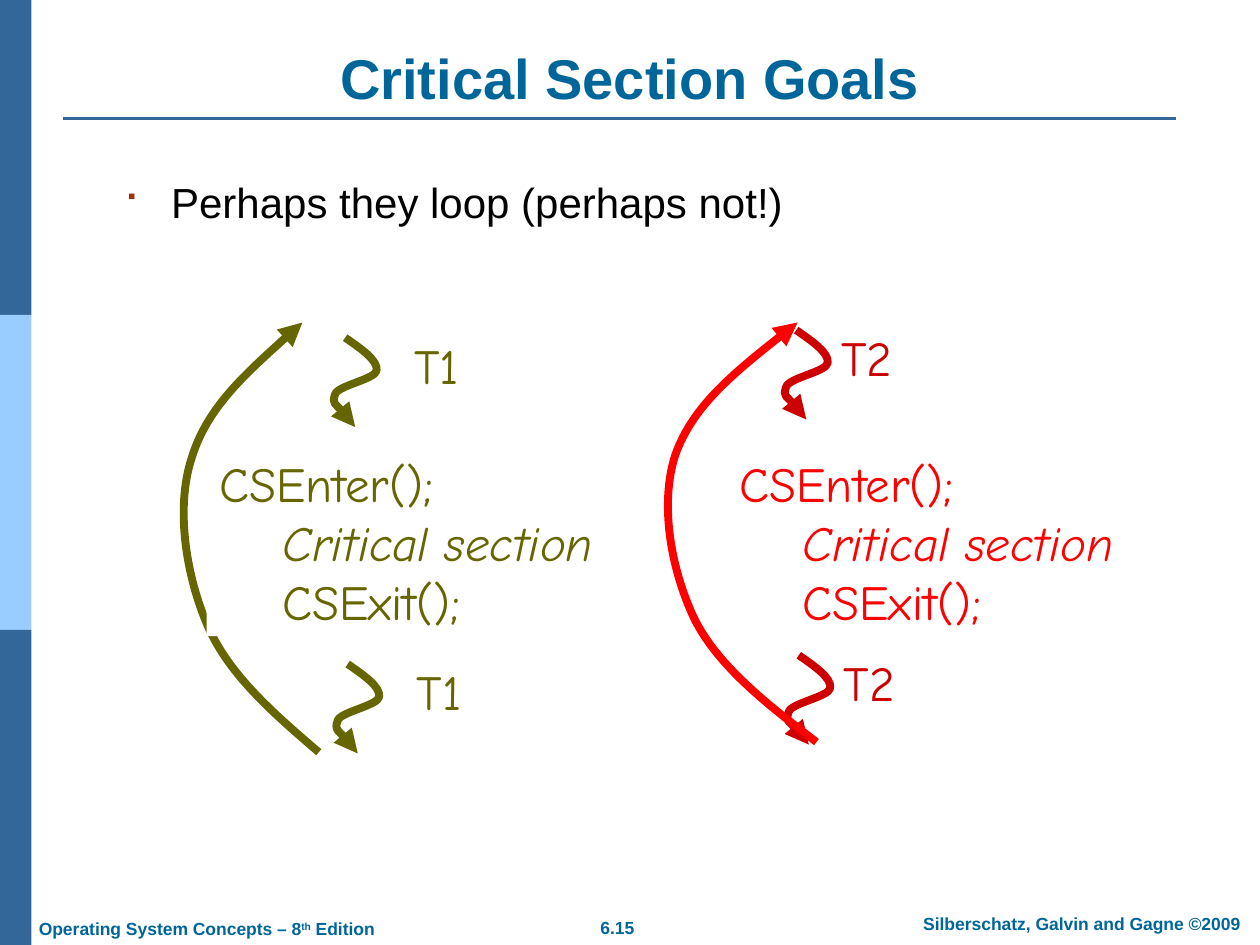
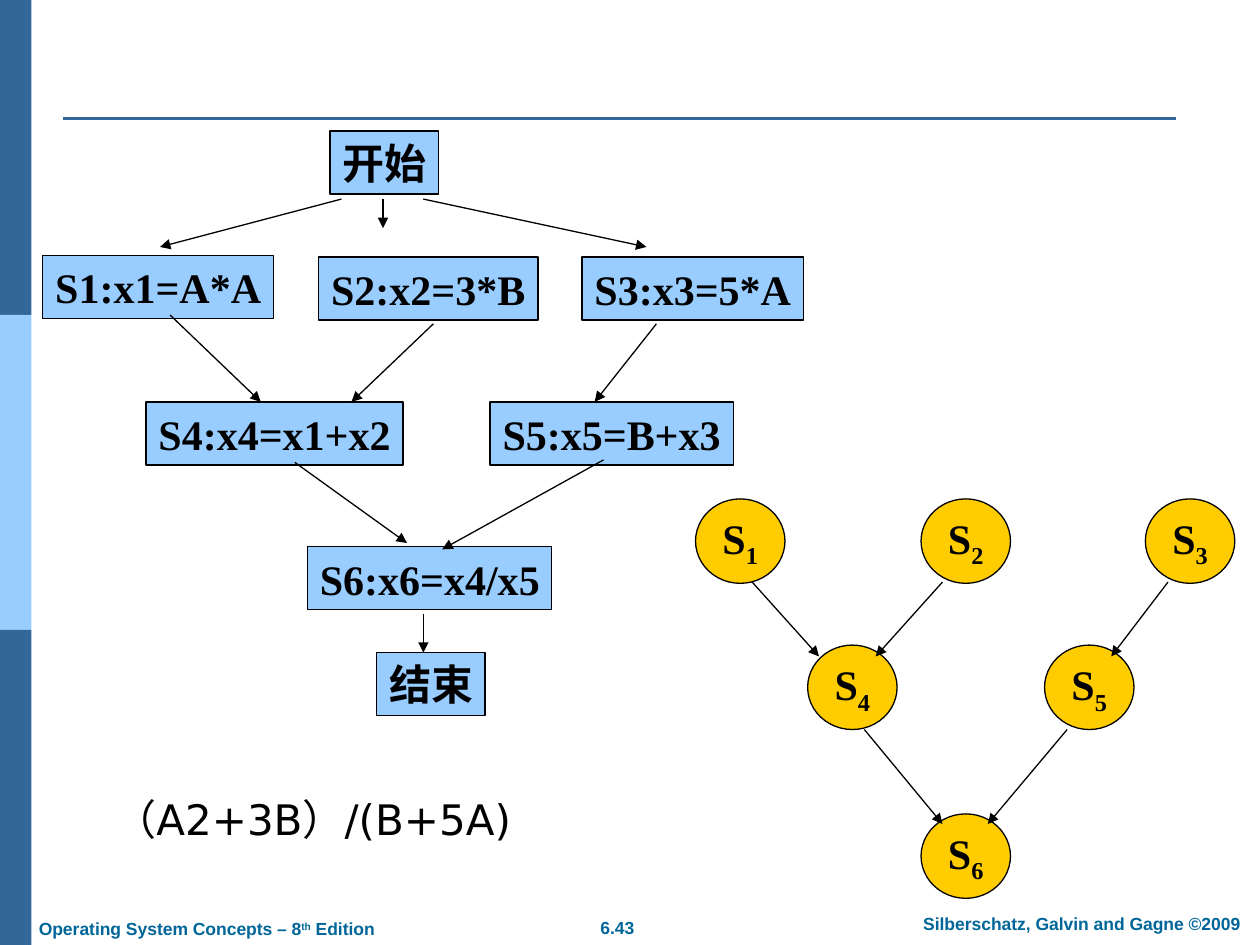
"""Build two operating-system slides: critical section goals and a precedence graph."""
from dataclasses import dataclass
from typing import NamedTuple

from lxml import etree
from pptx import Presentation
from pptx.dml.color import RGBColor
from pptx.enum.shapes import MSO_CONNECTOR, MSO_SHAPE
from pptx.enum.text import MSO_ANCHOR, MSO_AUTO_SIZE, PP_ALIGN
from pptx.oxml.ns import qn
from pptx.util import Inches, Pt

RECTANGLE, OVAL = MSO_SHAPE.RECTANGLE, MSO_SHAPE.OVAL
STRAIGHT = MSO_CONNECTOR.STRAIGHT
LEFT, CENTER = PP_ALIGN.LEFT, PP_ALIGN.CENTER
TOP, MIDDLE, BOTTOM = MSO_ANCHOR.TOP, MSO_ANCHOR.MIDDLE, MSO_ANCHOR.BOTTOM
NO_AUTOFIT = MSO_AUTO_SIZE.NONE

NAVY, SKY, TEAL = "336699", "99CCFF", "006699"
BLACK, WHITE, RUST, GOLD = "000000", "FFFFFF", "993300", "FFCC00"
OLIVE, CRIMSON, RED = "666600", "CC0000", "FF0000"

Point = tuple[float, float]


class Area(NamedTuple):
    """Place and size in inches."""
    left: float
    top: float
    width: float
    height: float


class Arrow(NamedTuple):
    """A straight arrow between two points."""
    start: Point
    end: Point


class Style(NamedTuple):
    """Character format."""
    font: str
    size: float
    color: str
    bold: bool = False


@dataclass
class Span:
    """A run of text with its own slant and baseline shift in percent."""
    text: str
    italic: bool = False
    baseline: int = 0


@dataclass
class Line:
    """A paragraph."""
    spans: list[Span]
    align: PP_ALIGN = LEFT
    before: float = 0
    indent: float = 0
    bullet: bool = False


@dataclass
class Thread:
    """One thread: label, colours, squiggle starts, loop and code block."""
    name: str
    color: str
    squiggle_color: str
    starts: list[Point]
    label_shift: float
    label_width: float
    loop: list[Point]
    code_left: float
    code_fill: str | None


TITLE = Style("Arial", 32, TEAL, True)
BODY = Style("Arial", 24, BLACK)
FOOTER = Style("Arial", 10, TEAL, True)
CODE = "Comic Neue"
NODE = Style("Times New Roman", 24, BLACK, True)
FORMULA = Style("DejaVu Sans", 24, BLACK)

SQUIGGLE = [(0, 0), (0.13, 0.09), (0.26, 0.18), (0.25, 0.26), (0.24, 0.33),
            (-0.06, 0.38), (-0.08, 0.45), (-0.11, 0.53), (0.06, 0.66), (0.08, 0.71)]

THREADS = [
    Thread("T1", OLIVE, OLIVE, [(2.74, 2.68), (2.76, 5.27)], 0.45, 0.55,
           [(2.53, 5.97), (2.18, 5.67), (1.82, 5.36), (1.65, 4.97), (1.48, 4.58),
            (1.39, 4.04), (1.52, 3.64), (1.64, 3.24), (2.02, 2.9), (2.4, 2.56)],
           1.64, WHITE),
    Thread("T2", RED, CRIMSON, [(6.32, 2.62), (6.34, 5.2)], 0.26, 0.6,
           [(6.48, 5.89), (6.09, 5.59), (5.7, 5.29), (5.51, 4.91), (5.33, 4.53),
            (5.23, 4.01), (5.36, 3.61), (5.5, 3.22), (5.91, 2.89), (6.33, 2.56)],
           5.77, None),
]

STATEMENTS = {
    "S1:x1=A*A": (0.34, 2.03, 1.83), "S2:x2=3*B": (2.53, 2.04, 1.74),
    "S3:x3=5*A": (4.62, 2.04, 1.76), "S4:x4=x1+x2": (1.16, 3.19, 2.04),
    "S5:x5=B+x3": (3.89, 3.19, 1.93), "S6:x6=x4/x5": (2.44, 4.34, 1.94),
    "开始": (2.62, 1.04, 0.86), "结束": (2.99, 5.18, 0.86),
}
NODES = {"1": (5.52, 3.96), "2": (7.31, 3.96), "3": (9.09, 3.96),
         "4": (6.41, 5.12), "5": (8.29, 5.12), "6": (7.31, 6.46)}
GRAPH_ARROWS = [
    Arrow((5.97, 4.62), (6.5, 5.21)), Arrow((7.48, 4.62), (6.95, 5.21)),
    Arrow((9.27, 4.62), (8.82, 5.21)), Arrow((6.86, 5.79), (7.48, 6.54)),
    Arrow((8.47, 5.79), (7.84, 6.54)),
]
FLOW_ARROWS = [
    Arrow((2.71, 1.58), (1.27, 1.96)), Arrow((3.04, 1.58), (3.04, 1.81)),
    Arrow((3.36, 1.58), (5.13, 1.96)), Arrow((1.35, 2.5), (2.07, 3.19)),
    Arrow((3.44, 2.57), (2.79, 3.19)), Arrow((5.21, 2.57), (4.72, 3.19)),
    Arrow((2.34, 3.67), (3.23, 4.31)), Arrow((4.79, 3.65), (3.51, 4.36)),
    Arrow((3.36, 4.87), (3.36, 5.18)),
]


def paint(target, color: str) -> None:
    """Give a colour format a hex colour."""
    target.rgb = RGBColor.from_string(color)


def add_bullet(para) -> None:
    """Give a paragraph a hanging square bullet."""
    properties = para._p.get_or_add_pPr()
    properties.set("indent", str(-int(properties.get("marL"))))
    color = etree.SubElement(properties, qn("a:buClr"))
    etree.SubElement(color, qn("a:srgbClr"), val=RUST)
    etree.SubElement(properties, qn("a:buSzPct"), val="90000")
    etree.SubElement(properties, qn("a:buFont"), typeface="Wingdings")
    etree.SubElement(properties, qn("a:buChar"), char="■")


def write(shape, lines: list[Line], style: Style, anchor=TOP, wrap: bool = True) -> None:
    """Fill a shape with paragraphs, run by run."""
    frame = shape.text_frame
    frame.auto_size = NO_AUTOFIT
    frame.word_wrap = wrap
    frame.vertical_anchor = anchor
    frame.margin_left = frame.margin_right = Inches(0.1)
    frame.margin_top = frame.margin_bottom = Inches(0.05)
    for index, line in enumerate(lines):
        para = frame.add_paragraph() if index else frame.paragraphs[0]
        para.alignment = line.align
        para.space_before = Pt(line.before)
        para._p.get_or_add_pPr().set("marL", str(Inches(line.indent)))
        if line.bullet:
            add_bullet(para)
        for part in line.spans:
            span = para.add_run()
            span.text = part.text
            span.font.name = style.font
            span.font.size = Pt(style.size)
            span.font.bold = style.bold
            span.font.italic = part.italic
            paint(span.font.color, style.color)
            if part.baseline:
                span._r.get_or_add_rPr().set("baseline", str(part.baseline * 1000))


def add_text(page, area: Area, lines: list[Line], style: Style, anchor=TOP, wrap=True) -> None:
    """Add a plain text box."""
    box = page.shapes.add_textbox(*map(Inches, area))
    write(box, lines, style, anchor, wrap)


def add_block(page, kind, area: Area, fill: str, outline: str | None = None):
    """Add a filled preset shape."""
    block = page.shapes.add_shape(kind, *map(Inches, area))
    block.shadow.inherit = False
    block.fill.solid()
    paint(block.fill.fore_color, fill)
    if outline:
        paint(block.line.color, outline)
        block.line.width = Pt(0.75)
    else:
        block.line.fill.background()
    return block


def add_arrowhead(shape) -> None:
    """Put a triangle at the end of a line."""
    outline = shape.element.spPr.find(qn("a:ln"))
    etree.SubElement(outline, qn("a:tailEnd"), type="triangle")


def add_line(page, arrow: Arrow, color: str, width: float, head: bool = True) -> None:
    """Add a straight line, with an arrowhead if wanted."""
    ends = [Inches(value) for point in arrow for value in point]
    connector = page.shapes.add_connector(STRAIGHT, *ends)
    paint(connector.line.color, color)
    connector.line.width = Pt(width)
    if head:
        add_arrowhead(connector)
    etree.SubElement(connector.element.spPr, qn("a:effectLst"))


def round_off(curve) -> None:
    """Turn each three line segments of a freeform into one cubic curve."""
    segments = list(curve.element.iter(qn("a:lnTo")))
    for first in range(0, len(segments), 3):
        cubic = etree.Element(qn("a:cubicBezTo"))
        segments[first].addprevious(cubic)
        for segment in segments[first:first + 3]:
            cubic.append(segment[0])
            segment.getparent().remove(segment)


def add_curve(page, points: list[Point], color: str) -> None:
    """Add a thick curved arrow through chained cubic segments."""
    start, *controls = [(Inches(x), Inches(y)) for x, y in points]
    builder = page.shapes.build_freeform(*start)
    builder.add_line_segments(controls, close=False)
    curve = builder.convert_to_shape()
    round_off(curve)
    curve.shadow.inherit = False
    curve.fill.background()
    paint(curve.line.color, color)
    curve.line.width = Pt(4.5)
    add_arrowhead(curve)


def add_page(deck, number: str):
    """Add a blank page with side band, rule and footers."""
    page = deck.slides.add_slide(deck.slide_layouts[6])
    for index, color in enumerate((NAVY, SKY, NAVY)):
        add_block(page, RECTANGLE, Area(0, 2.5 * index, 0.25, 2.5), color)
    add_line(page, Arrow((0.5, 0.94), (9.33, 0.94)), NAVY, 1.5, head=False)
    book = [Span("Operating System Concepts – 8"), Span("th", baseline=30), Span(" Edition")]
    authors = [Span("Silberschatz, Galvin and Gagne ©2009")]
    add_text(page, Area(4.41, 7.23, 0.98, 0.27), [Line([Span(number)], CENTER, 6.2)], FOOTER, wrap=False)
    add_text(page, Area(7.1, 7.2, 2.97, 0.27), [Line(authors, CENTER, 6.2)], FOOTER)
    add_text(page, Area(0.21, 7.24, 2.86, 0.27), [Line(book, LEFT, 6.2)], FOOTER, wrap=False)
    return page


def add_thread(page, thread: Thread) -> None:
    """Draw a thread's squiggles, loop and code."""
    for left, top in thread.starts:
        add_curve(page, [(left + x, top + y) for x, y in SQUIGGLE], thread.squiggle_color)
        label = Area(left + thread.label_shift, top - 0.07, thread.label_width, 0.57)
        add_text(page, label, [Line([Span(thread.name)], CENTER)],
                 Style(CODE, 28, thread.squiggle_color), MIDDLE, False)
    add_curve(page, thread.loop, thread.color)
    area = Area(thread.code_left, 3.55, 3.62, 1.5)
    code = [Line([Span("CSEnter();")]),
            Line([Span("Critical section", italic=True)], indent=0.5),
            Line([Span("CSExit();")], indent=0.5)]
    style = Style(CODE, 28, thread.color)
    if thread.code_fill:
        write(add_block(page, RECTANGLE, area, thread.code_fill), code, style, MIDDLE)
    else:
        add_text(page, area, code, style, MIDDLE)


def build_goals(deck) -> None:
    """Build the critical section slide."""
    page = add_page(deck, "6.15")
    add_text(page, Area(0.5, 0.3, 9, 0.63), [Line([Span("Critical Section Goals")], CENTER)], TITLE, BOTTOM)
    point = Line([Span("Perhaps they loop (perhaps not!)")], before=10.5, indent=0.38, bullet=True)
    add_text(page, Area(0.88, 1.35, 9, 0.69), [point], BODY)
    for thread in THREADS:
        add_thread(page, thread)


def build_precedence(deck) -> None:
    """Build the flow chart and precedence graph slide."""
    page = add_page(deck, "6.43")
    for number, (left, top) in NODES.items():
        node = add_block(page, OVAL, Area(left, top, 0.71, 0.67), GOLD, BLACK)
        write(node, [Line([Span("S"), Span(number, baseline=-25)], CENTER)], NODE, MIDDLE, False)
    for text, (left, top, width) in STATEMENTS.items():
        statement = add_block(page, RECTANGLE, Area(left, top, width, 0.5), SKY, BLACK)
        write(statement, [Line([Span(text)])], NODE, wrap=False)
    for arrow in GRAPH_ARROWS + FLOW_ARROWS:
        add_line(page, arrow, BLACK, 0.75)
    add_text(page, Area(0.81, 6.25, 5.23, 0.5), [Line([Span("（A2+3B）/(B+5A)")])], FORMULA)


def main() -> None:
    """Build and save the deck."""
    deck = Presentation()
    deck.slide_width, deck.slide_height = Inches(10), Inches(7.5)
    build_goals(deck)
    build_precedence(deck)
    deck.save("out.pptx")


if __name__ == "__main__":
    main()
